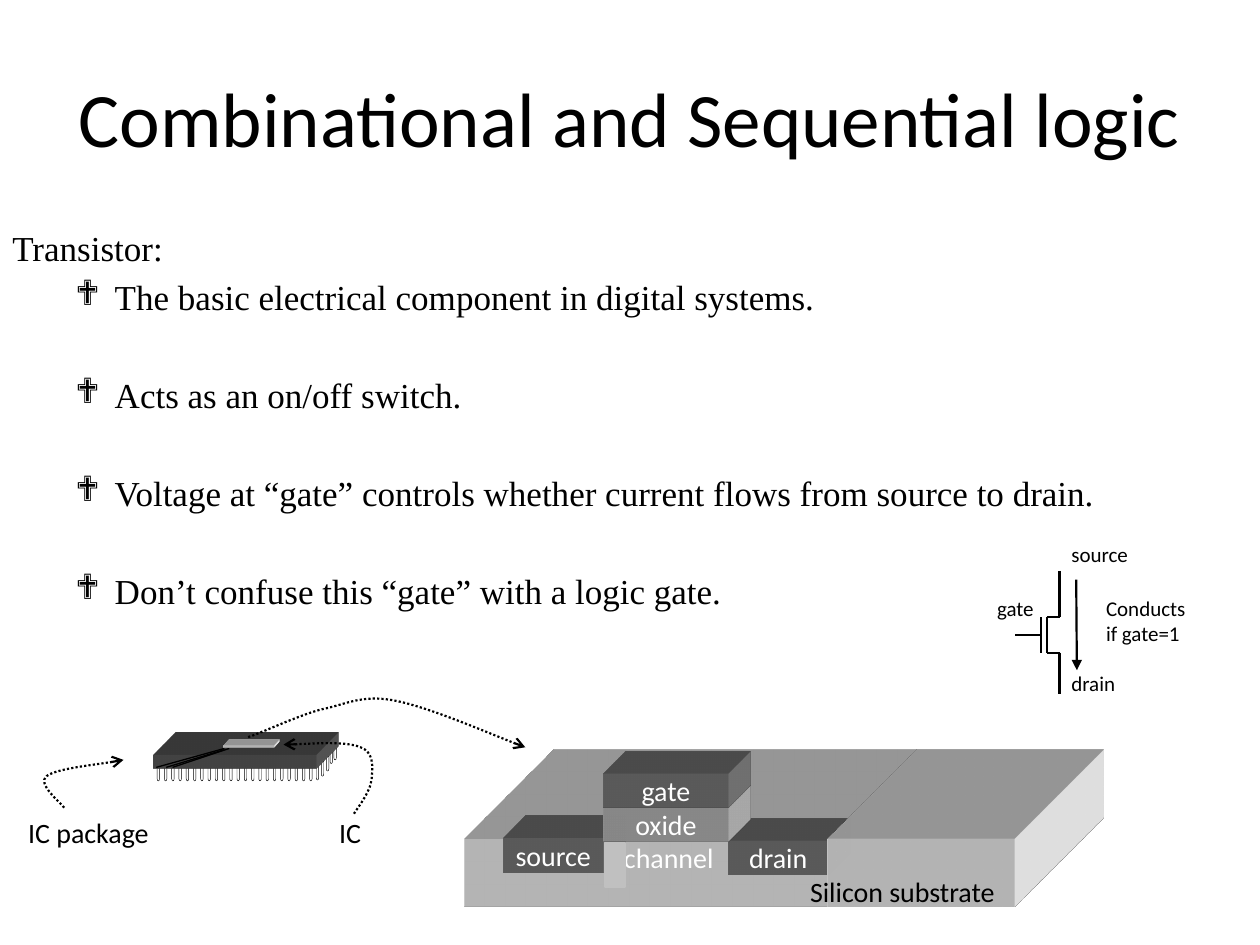
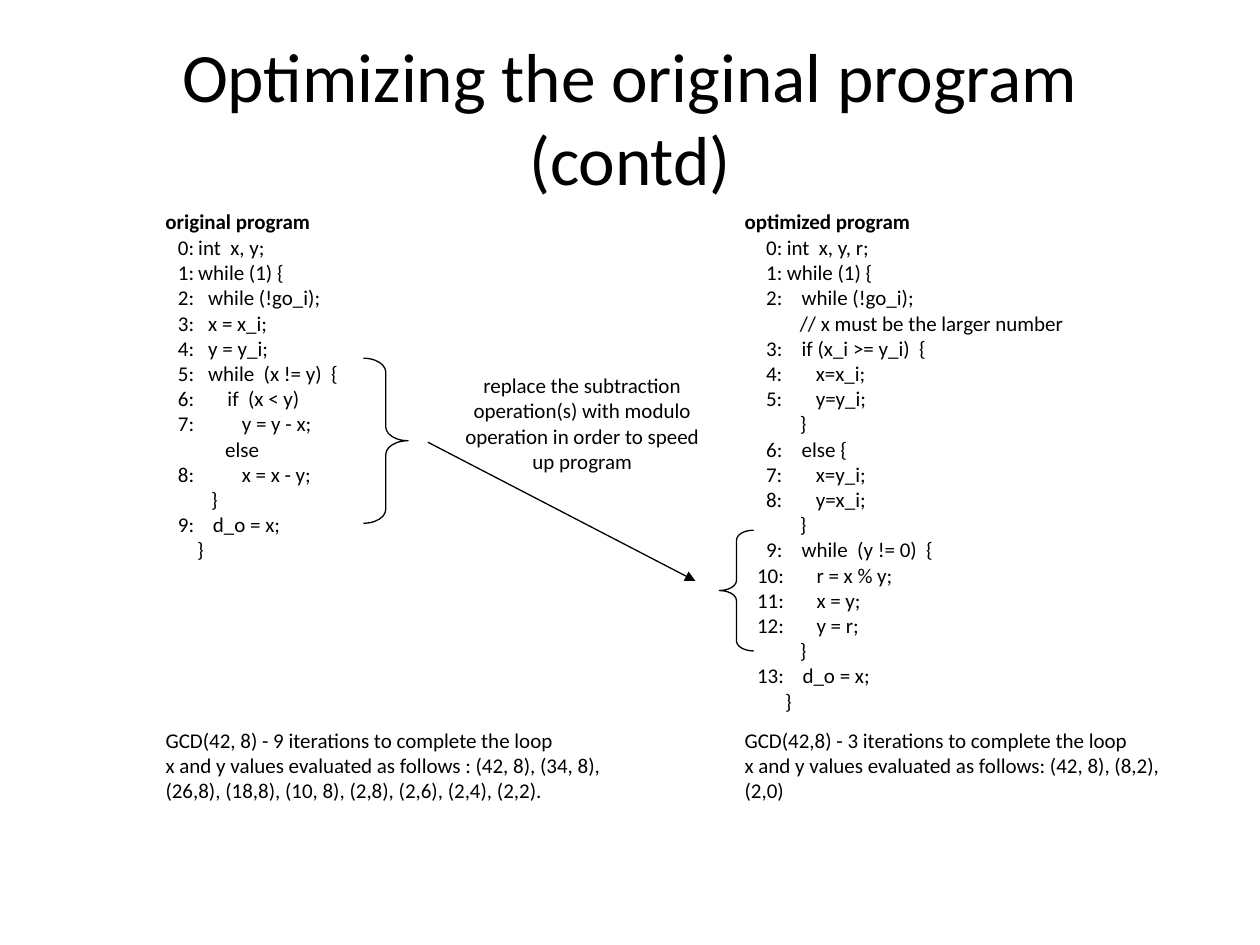
from dataclasses import dataclass

from lxml import etree
from pptx import Presentation
from pptx.dml.color import RGBColor
from pptx.enum.dml import MSO_LINE
from pptx.enum.shapes import MSO_CONNECTOR, MSO_SHAPE
from pptx.enum.text import MSO_ANCHOR, PP_ALIGN
from pptx.oxml.ns import qn
from pptx.util import Pt

LEFT, CENTER = PP_ALIGN.LEFT, PP_ALIGN.CENTER
TOP, MIDDLE = MSO_ANCHOR.TOP, MSO_ANCHOR.MIDDLE
RECT, CAN = MSO_SHAPE.RECTANGLE, MSO_SHAPE.CAN
LEFT_BRACE, RIGHT_BRACE = MSO_SHAPE.LEFT_BRACE, MSO_SHAPE.RIGHT_BRACE
STRAIGHT, DOTTED = MSO_CONNECTOR.STRAIGHT, MSO_LINE.ROUND_DOT


@dataclass(frozen=True)
class Theme:
    sans: str = "Calibri"
    serif: str = "Times New Roman"
    symbols: str = "Wingdings"
    black: str = "000000"
    white: str = "FFFFFF"
    plastic: str = "5F5F5F"
    electrode: str = "808080"
    oxide: str = "C0C0C0"
    title: float = 44
    title_long: float = 39.6
    body: float = 20
    label: float = 16
    small: float = 12
    no_inset: tuple = (0, 0)
    inset: tuple = (7.2, 3.6)


@dataclass(frozen=True)
class Line:
    text: str
    left: float = 0
    hang: float = 0
    before: float = 0
    bullet: str = ""


THEME = Theme()


# --- Text ---
def add_xml(parent, tag, **attributes):
    child = etree.SubElement(parent, qn(tag))
    for name, value in attributes.items():
        child.set(name, str(value))
    return child


def write_text(frame, lines, size=THEME.small, font=THEME.sans, color=THEME.black,
               bold=False, align=LEFT, anchor=TOP, inset=THEME.no_inset):
    frame.word_wrap = True
    frame.vertical_anchor = anchor
    frame.margin_left = frame.margin_right = Pt(inset[0])
    frame.margin_top = frame.margin_bottom = Pt(inset[1])
    for index, line in enumerate(lines):
        if isinstance(line, str):
            line = Line(line)
        paragraph = frame.add_paragraph() if index else frame.paragraphs[0]
        paragraph.alignment = align
        paragraph.space_before = Pt(line.before)
        properties = paragraph._p.get_or_add_pPr()
        properties.set("marL", str(Pt(line.left)))
        properties.set("indent", str(Pt(-line.hang)))
        if line.bullet:
            add_xml(properties, "a:buFont", typeface=THEME.symbols)
            add_xml(properties, "a:buChar", char=line.bullet)
        run = paragraph.add_run()
        run.text = line.text
        run.font.size, run.font.name, run.font.bold = Pt(size), font, bold
        run.font.color.rgb = RGBColor.from_string(color)


def add_text(slide, box, *lines, **text_format):
    frame = slide.shapes.add_textbox(*map(Pt, box)).text_frame
    write_text(frame, lines, **text_format)


def add_title(slide, title, size=THEME.title):
    add_text(slide, (36, 21.6, 648, 90), title, size=size, align=CENTER,
             anchor=MIDDLE, inset=THEME.inset)


# --- Shapes and lines ---
def style(shape, fill=None, line=None, width=0.25):
    shape.shadow.inherit = False
    if fill:
        shape.fill.solid()
        shape.fill.fore_color.rgb = RGBColor.from_string(fill)
    else:
        shape.fill.background()
    if line:
        shape.line.color.rgb = RGBColor.from_string(line)
        shape.line.width = Pt(width)
    else:
        shape.line.fill.background()


def add_preset(slide, kind, box, adjustment=None, **look):
    shape = slide.shapes.add_shape(kind, *map(Pt, box))
    if adjustment is not None:
        shape.adjustments[0] = adjustment
    style(shape, **look)
    return shape


def add_arrowhead(shape, kind):
    add_xml(shape._element.spPr.find(qn("a:ln")), "a:tailEnd", type=kind)


def add_line(slide, start, end, width=1.25, arrow=None):
    line = slide.shapes.add_connector(STRAIGHT, *map(Pt, (*start, *end)))
    line.line.color.rgb = RGBColor.from_string(THEME.black)
    line.line.width = Pt(width)
    if arrow:
        add_arrowhead(line, arrow)
    add_xml(line._element.spPr, "a:effectLst")


def add_dotted_arrow(slide, box, start, *curves):
    """Draw a chain of cubic curves, each given by two controls and an end."""
    x, y, width, height = box
    builder = slide.shapes.build_freeform(Pt(x), Pt(y))
    builder.add_line_segments([(Pt(x + width), Pt(y + height))], close=False)
    arrow = builder.convert_to_shape()
    style(arrow, line=THEME.black, width=1.25)
    arrow.line.dash_style = DOTTED
    add_arrowhead(arrow, "arrow")
    # Replace the diagonal of the box by the curves
    outline = next(arrow._element.iter(qn("a:pathLst")))[0]
    for segment in list(outline):
        outline.remove(segment)
    for tag, points in [("a:moveTo", [start]), *(("a:cubicBezTo", c) for c in curves)]:
        segment = add_xml(outline, tag)
        for px, py in points:
            add_xml(segment, "a:pt", x=Pt(px - x), y=Pt(py - y))


def add_block(slide, box, depth, color, label=None):
    """Draw a rectangle extruded up and to the right."""
    block = add_preset(slide, RECT, box, fill=color)
    properties = block._element.spPr
    scene = add_xml(properties, "a:scene3d")
    add_xml(scene, "a:camera", prst="legacyObliqueTopRight")
    add_xml(scene, "a:lightRig", rig="legacyFlat3", dir="b")
    solid = add_xml(properties, "a:sp3d", extrusionH=Pt(depth),
                    prstMaterial="legacyMatte")
    extrusion = add_xml(solid, "a:extrusionClr")
    add_xml(extrusion, "a:srgbClr", val=color)
    if label:
        write_text(block.text_frame, [label], size=THEME.label, color=THEME.white,
                   align=CENTER, anchor=MIDDLE)


# --- Slide 1 parts ---
def draw_transistor_symbol(slide):
    plate, channel, lead = 594.7, 598.3, 605.5
    top, middle, bottom = 352.8, 362.9, 373
    for start, end in (
        ((plate, top), (plate, bottom)),
        ((channel, top), (channel, bottom)),
        ((channel, top), (lead, top)),
        ((channel, bottom), (lead, bottom)),
        ((lead, bottom), (lead, 396.7)),
        ((580.3, middle), (plate, middle)),
        ((lead, 326.2), (lead, top)),
    ):
        add_line(slide, start, end)
    add_line(slide, (615, 331.2), (615.4, 383), arrow="triangle")
    add_text(slide, (567.4, 340.3, 25.6, 15), "gate", align=CENTER)
    add_text(slide, (612.2, 309.6, 40, 19), "source")
    add_text(slide, (612.2, 383, 38, 15), "drain")
    add_text(slide, (632, 340.3, 60, 42), "Conducts", "if gate=1")


def draw_chip(slide):
    side_pins = [(188.6, 425.5), (190.8, 423.4), (180.7, 434.9),
                 (186.5, 429.8), (183.6, 432.7)]
    front_pins = [(89.8 + 4.15 * index, 435.4) for index in reversed(range(22))]
    for x, y in side_pins + front_pins:
        add_preset(slide, CAN, (x, y, 1.4, 10.8), 1.9,
                   fill=THEME.white, line=THEME.black)
    add_block(slide, (87.6, 431.1, 92.9, 7.9), 36, THEME.plastic)
    for start, foot in (((128.2, 427.7), 89.3), ((128.2, 428.4), 95), ((131, 427.7), 98.6)):
        add_line(slide, start, (foot, 438.5), width=0.75)
    add_block(slide, (128, 426, 28.8, 1.4), 9, THEME.white)


def draw_silicon(slide):
    substrate_depth, layer_depth = 144, 36
    add_block(slide, (265.7, 479, 313.9, 38.9), substrate_depth, THEME.white)
    for label, x, y, width, color in (
        ("source", 287.7, 479, 56.9, THEME.electrode),
        ("drain", 416.2, 480.4, 56.9, THEME.electrode),
        ("oxide", 344.9, 461.5, 71.3, THEME.oxide),
        ("gate", 344.9, 442.1, 71.3, THEME.electrode),
    ):
        add_block(slide, (x, y, width, 19.4), layer_depth, color, label)


def draw_callouts(slide):
    add_dotted_arrow(slide, (141.8, 396.7, 157.7, 30.3), (141.8, 421.2),
                     ((149, 419), (170, 409), (183.6, 405.4)),
                     ((198, 402.5), (206.6, 396.7), (225.4, 400.3)),
                     ((244.8, 404), (284.4, 421.2), (300.2, 427)))
    add_text(slide, (16.1, 465.8, 85.7, 19.4), "IC package", size=THEME.label)
    add_text(slide, (157.2, 465.8, 85.7, 19.4), "IC", size=THEME.label, align=CENTER)
    add_dotted_arrow(slide, (20.9, 434.2, 49.7, 27.3), (36.7, 461.5),
                     ((34.6, 458.6), (20.9, 447.8), (26.6, 443.5)),
                     ((32.4, 439.2), (61.2, 436.3), (70.6, 434.2)))
    add_dotted_arrow(slide, (162, 423.4, 51.8, 41.6), (202.3, 465),
                     ((203.8, 462.2), (211.7, 453), (212.4, 445)),
                     ((213, 438.5), (213.8, 429.8), (206, 427)),
                     ((197.3, 423.4), (171.4, 425.5), (162, 425.5)))


def draw_substrate_front(slide):
    add_block(slide, (473, 479, 106.6, 38.9), 144, THEME.white)
    add_text(slide, (353.7, 480.2, 56.9, 19.4), "channel", size=THEME.label,
             color=THEME.white, align=CENTER)
    add_text(slide, (458.4, 499.7, 114.5, 19.4), "Silicon substrate",
             size=THEME.label, align=CENTER)
    add_preset(slide, RECT, (345.6, 481.5, 11.5, 25.2),
               fill=THEME.oxide, line=THEME.oxide, width=1)


def build_transistor_slide(slide):
    add_title(slide, "Combinational and Sequential logic")
    facts = ["The basic electrical component in digital systems.",
             "Acts as an on/off switch.",
             "Voltage at “gate” controls whether current flows from source to drain.",
             "Don’t confuse this “gate” with a logic gate."]
    bullets = [Line(fact, 58.5, 22.5, 32 if index else 4, "❖")
               for index, fact in enumerate(facts)]
    add_text(slide, (0, 126, 720, 414), "Transistor:", *bullets,
             size=THEME.body, font=THEME.serif, inset=THEME.inset)
    draw_transistor_symbol(slide)
    draw_chip(slide)
    draw_silicon(slide)
    draw_callouts(slide)
    draw_substrate_front(slide)


# --- Slide 2 parts ---
def code_line(number, indent, code, number_width):
    """Put the code at its indent, with its number hanging to the left."""
    if number is None:
        return Line(code, indent)
    start = number_width if number < 10 else 0
    return Line(f"{number}:\t{code}", indent, indent - start)


def add_program(slide, x, heading, listing, number_width, results, result_width):
    lines = [code_line(*entry, number_width) for entry in listing]
    add_text(slide, (x, 130.5, 215, 14.65 * len(lines) + 7.2), *lines, inset=THEME.inset)
    add_text(slide, (x, 119.2, 130, 16.6), heading, bold=True)
    add_text(slide, (x, 415.6, result_width, 57.6), *results)


def build_optimizing_slide(slide):
    add_title(slide, "Optimizing the original program (contd)", THEME.title_long)
    add_program(slide, 94.6, "original program", [
        (0, 11.6, "int  x, y;"), (1, 11.6, "while (1) {"),
        (2, 17.3, "while (!go_i);"), (3, 17.3, "x = x_i;"), (4, 17.3, "y = y_i;"),
        (5, 17.3, "while  (x != y)  {"), (6, 28.3, "if  (x < y)"),
        (7, 36.5, "y = y - x;"), (None, 27, "else"), (8, 36.5, "x = x - y;"),
        (None, 19, "}"), (9, 20, "d_o = x;"), (None, 11, "}"),
    ], 0, ["GCD(42, 8) - 9 iterations to complete the loop",
           "x and y values evaluated as follows : (42, 8), (34, 8), (26,8), (18,8), "
           "(10, 8), (2,8), (2,6), (2,4), (2,2)."], 259)
    add_program(slide, 425.5, "optimized program", [
        (0, 17, "int  x, y, r;"), (1, 17, "while (1) {"), (2, 25.5, "while (!go_i);"),
        (None, 24.5, "// x must be the larger number"),
        (3, 25.5, "if (x_i >= y_i)  {"), (4, 33.6, "x=x_i;"), (5, 33.6, "y=y_i;"),
        (None, 24.5, "}"), (6, 25.5, "else {"), (7, 33.6, "x=y_i;"), (8, 33.6, "y=x_i;"),
        (None, 24.5, "}"), (9, 25.5, "while  (y != 0)  {"), (10, 34, "r = x % y;"),
        (11, 34, "x = y;"), (12, 34, "y = r;"), (None, 24.5, "}"),
        (13, 26, "d_o = x;"), (None, 16, "}"),
    ], 5.2, ["GCD(42,8) - 3 iterations to complete the loop",
             "x and y values evaluated as follows: (42, 8), (8,2), (2,0)"], 244)
    # Replaced loop, its replacement and the arrow between them
    add_preset(slide, RIGHT_BRACE, (207.7, 204.7, 25.5, 94.3), 0.31,
               line=THEME.black, width=0.75)
    add_preset(slide, LEFT_BRACE, (411, 303, 19.7, 69), 0.29,
               line=THEME.black, width=0.75)
    add_line(slide, (244.5, 252.7), (397.4, 332), width=0.75, arrow="triangle")
    add_text(slide, (261.7, 213, 142, 63.4),
             "replace the subtraction operation(s) with modulo operation "
             "in order to speed up program", align=CENTER)


def main():
    deck = Presentation()
    deck.slide_width, deck.slide_height = Pt(720), Pt(540)
    blank = deck.slide_layouts[6]
    for build in (build_transistor_slide, build_optimizing_slide):
        build(deck.slides.add_slide(blank))
    deck.save("out.pptx")


if __name__ == "__main__":
    main()
